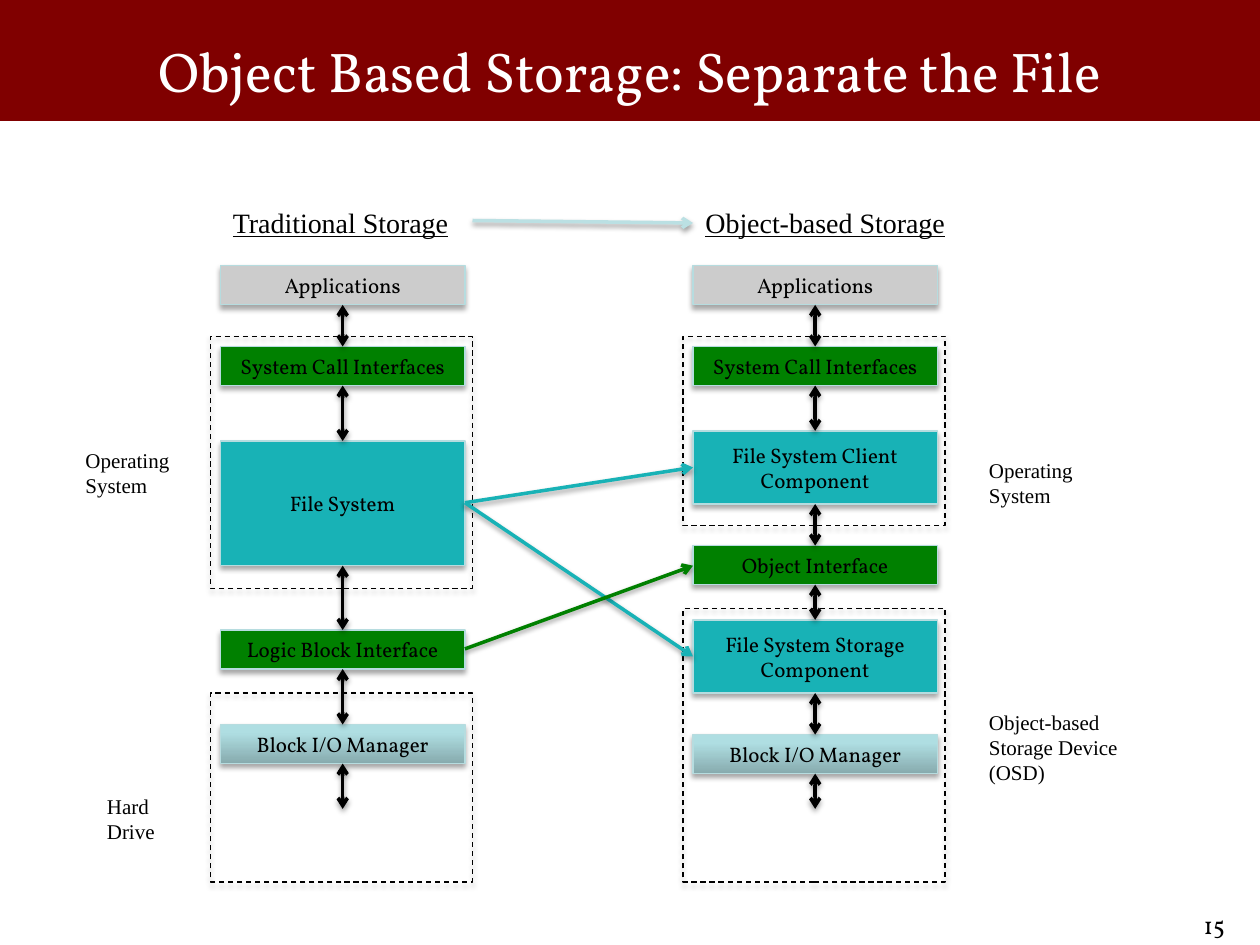
from dataclasses import dataclass

from lxml import etree
from pptx import Presentation
from pptx.dml.color import RGBColor as RGB
from pptx.enum.dml import MSO_LINE as Dash
from pptx.enum.shapes import MSO_CONNECTOR as Conn, MSO_SHAPE as Geom
from pptx.enum.text import MSO_ANCHOR as Anchor, PP_ALIGN as Align
from pptx.oxml import parse_xml
from pptx.oxml.ns import nsdecls, qn
from pptx.util import Inches, Pt


@dataclass(frozen=True)
class Theme:
    serif: str = "Vollkorn"
    plain: str = "Times New Roman"
    title: int = 32
    head: int = 16
    page: int = 14
    body: int = 12
    thin: float = 0.75
    thick: float = 2
    white: str = "FFFFFF"
    black: str = "000000"
    maroon: str = "800000"
    gray: str = "CCCCCC"
    green: str = "008000"
    teal: str = "18B2B6"
    pale: str = "BBE0E3"
    edge: str = "B6DCDF"
    fade: tuple = ((0, "87ABAE"), (80, "AFDEE2"), (100, "AFE0E4"))


class Deck:
    def __init__(self, theme):
        self.prs = Presentation()
        self.prs.slide_width, self.prs.slide_height = Inches(10), Inches(7.5)
        self.slide = self.prs.slides.add_slide(self.prs.slide_layouts[6])
        self.shapes = self.slide.shapes
        self.theme = theme

    def shade(self, item, alpha, dist):
        """Give a shape or line a soft shadow that falls straight down."""
        item._element.spPr.append(parse_xml(
            f'<a:effectLst {nsdecls("a")}><a:outerShdw blurRad="{Pt(3.1)}" '
            f'dist="{Pt(dist)}" dir="5400000" rotWithShape="0">'
            f'<a:srgbClr val="{self.theme.black}"><a:alpha val="{alpha * 1000}"/>'
            '</a:srgbClr></a:outerShdw></a:effectLst>'))

    def fill_text(self, frame, lines, size, font, color, align, under=False):
        frame.word_wrap = True
        for i, line in enumerate(lines.split("\n")):
            para = frame.add_paragraph() if i else frame.paragraphs[0]
            para.alignment = align
            run = para.add_run()
            run.text = line
            run.font.size, run.font.name = Pt(size), font
            run.font.color.rgb = RGB.from_string(color)
            if under:
                run.font.underline = True

    def text(self, at, lines, size, font=None, color=None, align=Align.LEFT,
             anchor=Anchor.TOP, under=False):
        box = self.shapes.add_textbox(*map(Inches, at))
        box.text_frame.vertical_anchor = anchor
        self.fill_text(box.text_frame, lines, size, font or self.theme.plain,
                       color or self.theme.black, align, under)

    def rect(self, at, fill, edge, width):
        box = self.shapes.add_shape(Geom.RECTANGLE, *map(Inches, at))
        if fill is None:
            box.fill.background()
        elif isinstance(fill, tuple):
            stops = "".join(f'<a:gs pos="{pos * 1000}"><a:srgbClr val="{tone}"/></a:gs>'
                            for pos, tone in fill)
            box._element.spPr.insert(2, parse_xml(
                f'<a:gradFill {nsdecls("a")} rotWithShape="1"><a:gsLst>{stops}</a:gsLst>'
                '<a:lin ang="16200000" scaled="0"/></a:gradFill>'))
        else:
            box.fill.solid()
            box.fill.fore_color.rgb = RGB.from_string(fill)
        box.line.color.rgb = RGB.from_string(edge)
        box.line.width = Pt(width)
        return box

    def band(self, at, fill):
        self.rect(at, fill, fill, self.theme.thick).shadow.inherit = False

    def block(self, at, label, fill):
        box = self.rect(at, fill, self.theme.edge, self.theme.thin)
        self.shade(box, 35, 1.8)
        box.text_frame.vertical_anchor = Anchor.MIDDLE
        self.fill_text(box.text_frame, label, self.theme.body, self.theme.serif,
                       self.theme.black, Align.CENTER)

    def frame(self, at):
        box = self.rect(at, None, self.theme.black, self.theme.thin)
        box.line.dash_style = Dash.DASH
        self.shade(box, 35, 1.8)

    def arrow(self, start, end, color, both=False):
        link = self.shapes.add_connector(Conn.STRAIGHT, *map(Inches, (*start, *end)))
        link.line.color.rgb = RGB.from_string(color)
        link.line.width = Pt(self.theme.thick)
        ln = link._element.spPr.find(qn("a:ln"))
        for tag in ("a:headEnd", "a:tailEnd") if both else ("a:tailEnd",):
            etree.SubElement(ln, qn(tag), type="arrow")
        self.shade(link, 38, 1.6)


def main():
    look = Theme()
    deck = Deck(look)
    wide, low, stub = 1.94, 0.31, 6.42

    # Title band and page number
    deck.band((0, 0, 10, 0.95), look.maroon)
    deck.text((0.5, 0.25, 9, 0.62), "Object Based Storage: Separate the File",
              look.title, look.serif, look.white, Align.CENTER, Anchor.MIDDLE)
    deck.text((7.62, 7.17, 2.2, 0.3), "15", look.page, look.serif, align=Align.RIGHT)

    # Storage stacks: left, heading, blocks (label, top, height, fill), frames (top, height)
    top = [("Applications", 2.11, low, look.gray),
           ("System Call Interfaces", 2.75, low, look.green)]
    stacks = [
        (1.75, "Traditional Storage", top + [
            ("File System", 3.5, 0.99, look.teal),
            ("Logic Block Interface", 5, low, look.green),
            ("Block I/O Manager", 5.75, low, look.fade),
        ], [(2.67, 2), (5.5, 1.5)]),
        (5.5, "Object-based Storage", top + [
            ("File System Client Component", 3.42, 0.58, look.teal),
            ("Object Interface", 4.33, low, look.green),
            ("File System Storage Component", 4.92, 0.58, look.teal),
            ("Block I/O Manager", 5.83, low, look.fade),
        ], [(2.67, 1.5), (4.83, 2.17)]),
    ]
    for left, head, blocks, frames in stacks:
        deck.text((left, 1.58, 2.25, 0.37), head, look.head, under=True)
        for label, y, high, fill in blocks:
            deck.block((left, y, wide, high), label, fill)
        for y, high in frames:
            deck.frame((left - 0.08, y, 2.08, high))
        # Each block links down to the next, the last to a stub
        mid = left + wide / 2
        ends = [y for _, y, _, _ in blocks[1:]] + [stub]
        for (_, y, high, _), end in zip(blocks, ends):
            deck.arrow((mid, y + high), (mid, end), look.black, both=True)

    # Side labels
    for at, label in [((0.58, 3.5, 1.25, 0.5), "Operating System"),
                      ((0.75, 6.25, 1.25, 0.5), "Hard\nDrive"),
                      ((7.75, 3.58, 1.25, 0.5), "Operating System"),
                      ((7.75, 5.58, 1.25, 0.71), "Object-based Storage Device (OSD)")]:
        deck.text(at, label, look.body)

    # Arrows from the old stack to the new one
    for x, y, end, color in [(3.69, 3.99, 3.71, look.teal), (3.69, 3.99, 5.21, look.teal),
                             (3.69, 5.15, 4.49, look.green), (3.75, 1.75, 1.77, look.pale)]:
        deck.arrow((x, y), (5.5, end), color)

    deck.prs.save("out.pptx")


if __name__ == "__main__":
    main()
